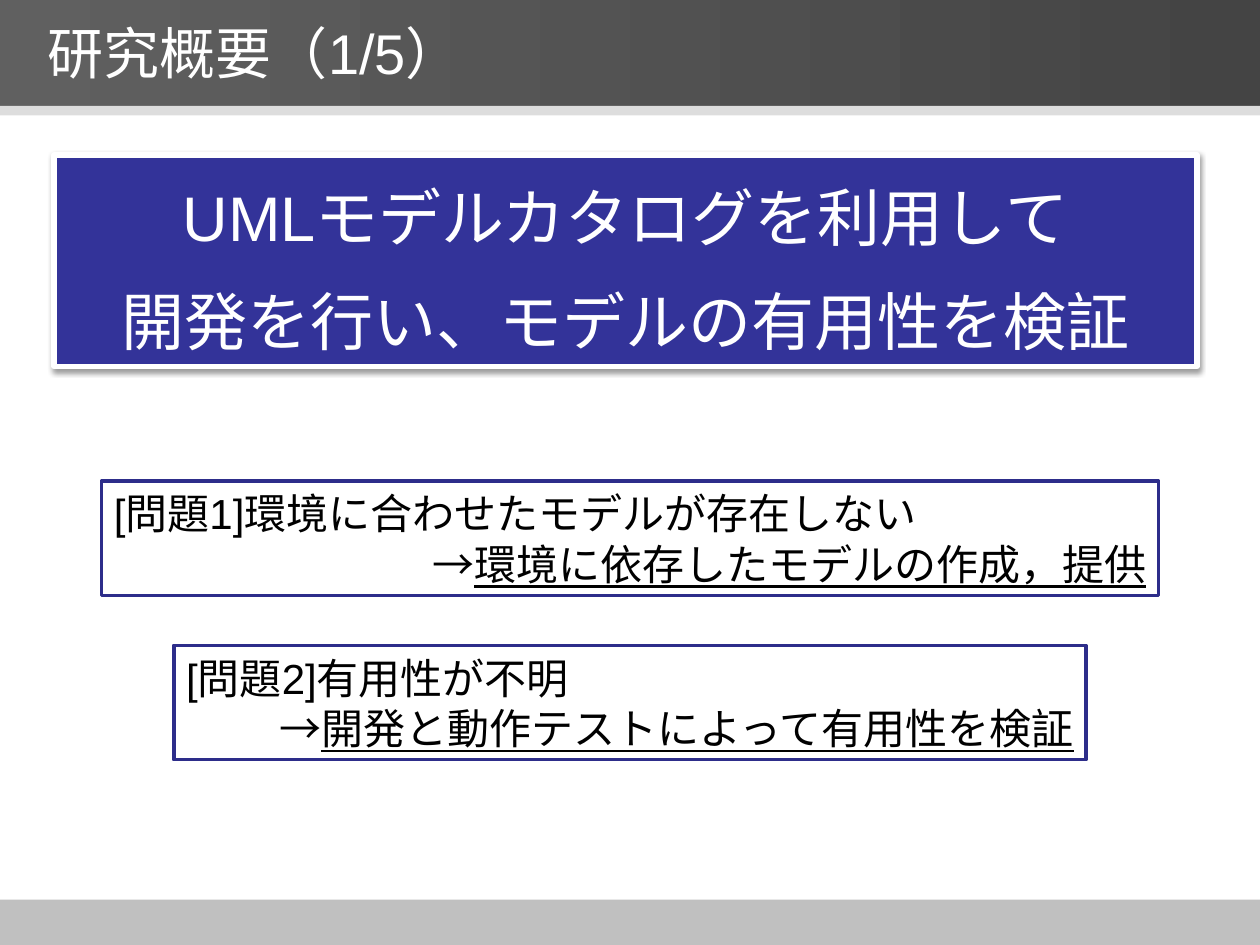
from lxml.etree import SubElement
from pptx import Presentation
from pptx.dml.color import RGBColor
from pptx.enum.shapes import MSO_SHAPE
from pptx.enum.text import MSO_ANCHOR, MSO_AUTO_SIZE, PP_ALIGN
from pptx.oxml.ns import qn
from pptx.util import Inches, Pt

WIDTH, HEIGHT = 10, 7.5
FONT = "Arial"
COLORS = {
    "header_start": "606060",
    "header_end": "444444",
    "rule": "DDDDDD",
    "footer": "C0C0C0",
    "banner": "333399",
    "frame": "2D2D8A",
    "white": "FFFFFF",
    "black": "000000",
}


def color(name):
    return RGBColor.from_string(COLORS[name])


def area(left, top, width, height):
    """Turn shares of the slide's size into lengths."""
    return (Inches(left * WIDTH), Inches(top * HEIGHT),
            Inches(width * WIDTH), Inches(height * HEIGHT))


def add_box(page, place, fill, line=None, line_width=0):
    box = page.shapes.add_shape(MSO_SHAPE.RECTANGLE, *area(*place))
    box.shadow.inherit = False
    box.fill.solid()
    box.fill.fore_color.rgb = color(fill)
    if line:
        box.line.color.rgb = color(line)
        box.line.width = Pt(line_width)
    else:
        box.line.fill.background()
    return box


def add_header(page):
    header = add_box(page, (0, 0, 1, 0.112), "header_start")
    header.fill.gradient()
    header.fill.gradient_angle = 0
    for stop, name in zip(header.fill.gradient_stops, ("header_start", "header_end")):
        stop.color.rgb = color(name)


def style_span(span, size, name, underline=None):
    span.font.name = FONT
    span.font.size = Pt(size)
    span.font.color.rgb = color(name)
    span.font.underline = underline


def set_text(box, lines, size, name, alignments):
    """Fill a box with lines; each line is a list of spans, the second underlined."""
    frame = box.text_frame
    frame.word_wrap = True
    frame.vertical_anchor = MSO_ANCHOR.MIDDLE
    for index, (spans, alignment) in enumerate(zip(lines, alignments)):
        para = frame.paragraphs[0] if index == 0 else frame.add_paragraph()
        para.alignment = alignment
        for number, text in enumerate(spans):
            span = para.add_run()
            span.text = text
            style_span(span, size, name, True if number else None)
    return frame


def add_soft_shadow(box):
    effects = box._element.spPr.find(qn("a:effectLst"))
    shadow = SubElement(effects, qn("a:outerShdw"), blurRad="40000", dist="20000",
                        dir="5400000", rotWithShape="0")
    tint = SubElement(shadow, qn("a:srgbClr"), val=COLORS["black"])
    SubElement(tint, qn("a:alpha"), val="38000")


def add_title(page, text):
    box = page.shapes.add_textbox(*area(0.028, 0, 0.939, 0.111))
    set_text(box, [[text]], 32, "white", [PP_ALIGN.LEFT])


def add_banner(page, lines):
    box = add_box(page, (0.043, 0.164, 0.907, 0.224), "banner", "white", 3)
    add_soft_shadow(box)
    frame = set_text(box, [[line] for line in lines], 36, "white",
                     [PP_ALIGN.CENTER] * len(lines))
    frame.auto_size = MSO_AUTO_SIZE.SHAPE_TO_FIT_TEXT
    for para in frame.paragraphs:
        para.line_spacing = 1.2
        para.space_before = Pt(7.2)


def add_problem(page, top, width, problem, answer):
    """Add a framed problem, centred on the page, with its answer at the right."""
    box = add_box(page, ((1 - width) / 2, top, width, 0.121), "white", "frame", 2)
    frame = set_text(box, [[problem], ["→", answer]], 24, "black",
                     [PP_ALIGN.LEFT, PP_ALIGN.RIGHT])
    frame.auto_size = MSO_AUTO_SIZE.SHAPE_TO_FIT_TEXT


def main():
    deck = Presentation()
    deck.slide_width, deck.slide_height = Inches(WIDTH), Inches(HEIGHT)
    page = deck.slides.add_slide(deck.slide_layouts[6])

    # Bands of the page
    add_box(page, (0, 0.952, 1, 0.048), "footer")
    add_header(page)
    add_box(page, (0, 0.112, 1, 0.01), "rule")

    # Title and main statement
    add_title(page, "研究概要（1/5）")
    add_banner(page, ["UMLモデルカタログを利用して",
                      "開発を行い、モデルの有用性を検証"])

    # Problems and answers
    add_problem(page, 0.509, 0.839, "[問題1]環境に合わせたモデルが存在しない",
                "環境に依存したモデルの作成，提供")
    add_problem(page, 0.683, 0.724, "[問題2]有用性が不明",
                "開発と動作テストによって有用性を検証")

    deck.save("out.pptx")


if __name__ == "__main__":
    main()
